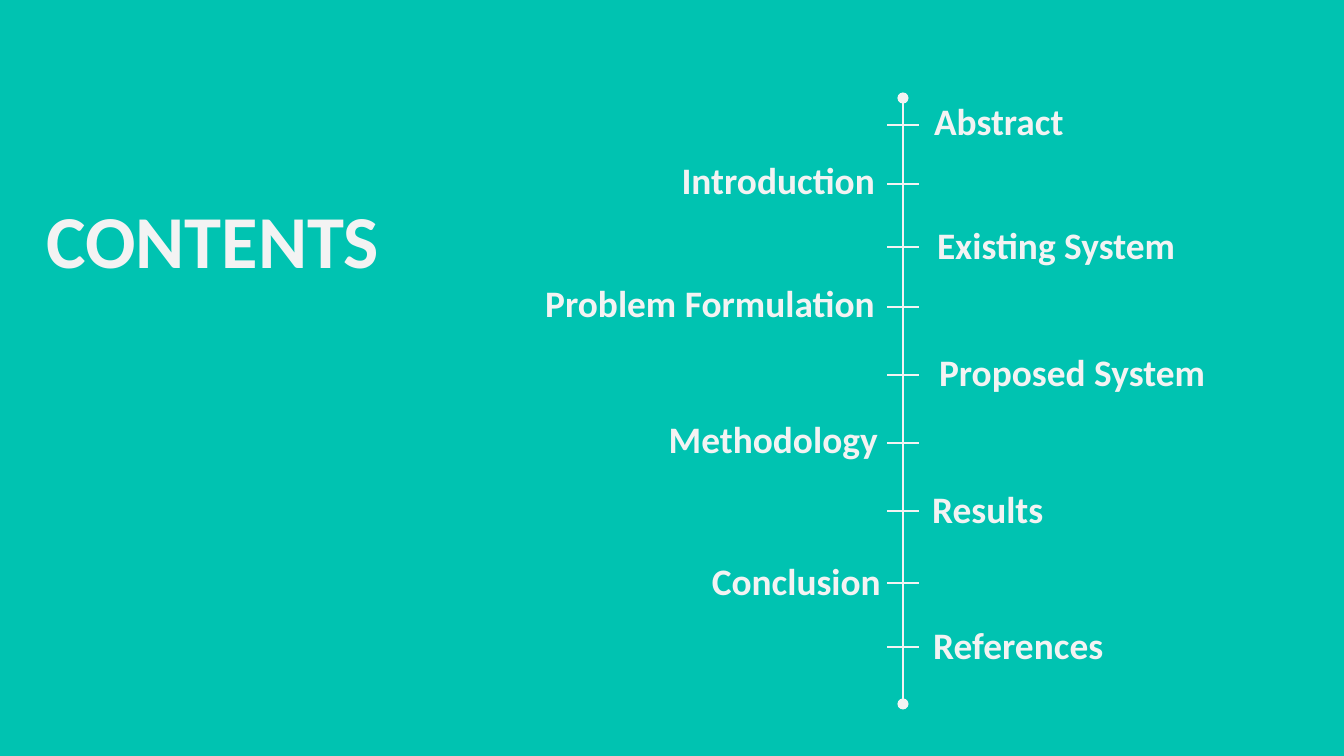
from lxml import etree
from pptx import Presentation
from pptx.dml.color import RGBColor
from pptx.enum import shapes, text
from pptx.oxml.ns import qn
from pptx.util import Emu, Pt

TEAL = RGBColor(0x00, 0xC3, 0xB1)
WHITE = RGBColor(0xF3, 0xF3, 0xF3)
FONT = "Calibri"
PX = 914400 / 134.4

TITLE = "CONTENTS"
# label, side of the axis, box edge facing the axis, text middle, tick height
ITEMS = [
    ("Abstract", "right", 921, 121, 125),
    ("Introduction", "left", 888, 180, 184),
    ("Existing System", "right", 924, 245, 247),
    ("Problem Formulation", "left", 888, 303, 307),
    ("Proposed System", "right", 926, 372, 375),
    ("Methodology", "left", 891, 439, 443),
    ("Results", "right", 919, 509, 511),
    ("Conclusion", "left", 894, 581, 583),
    ("References", "right", 920, 645, 647),
]
AXIS_X, AXIS_TOP, AXIS_BOTTOM = 903, 98, 704
TICK_HALF = 16
LABEL_WIDTH, LABEL_HEIGHT = 390, 90
INSET = 13


def px(value):
    return Emu(round(value * PX))


def add_line(page, x1, y1, x2, y2, dots=False):
    line = page.shapes.add_connector(
        shapes.MSO_CONNECTOR.STRAIGHT, px(x1), px(y1), px(x2), px(y2))
    line.line.color.rgb = WHITE
    line.line.width = Pt(1.5)
    if dots:
        outline = line.line._get_or_add_ln()
        for end in ("a:headEnd", "a:tailEnd"):
            etree.SubElement(outline, qn(end), type="oval")
    etree.SubElement(line._element.spPr, qn("a:effectLst"))


def write(box, words, size, align, anchor):
    frame = box.text_frame
    frame.word_wrap = True
    frame.auto_size = text.MSO_AUTO_SIZE.NONE
    frame.vertical_anchor = anchor
    frame.margin_left = frame.margin_right = px(INSET)
    frame.margin_top = frame.margin_bottom = px(INSET)
    para = frame.paragraphs[0]
    para.text = words
    para.alignment = align
    para.font.name = FONT
    para.font.size = Pt(size)
    para.font.bold = True
    para.font.color.rgb = WHITE


def main():
    deck = Presentation()
    deck.slide_width, deck.slide_height = px(1344), px(756)
    page = deck.slides.add_slide(deck.slide_layouts[5])
    page.background.fill.solid()
    page.background.fill.fore_color.rgb = TEAL

    title = page.shapes.title
    title.left, title.top = px(-19), px(181)
    title.width, title.height = px(411), px(254)
    write(title, TITLE, 40, text.PP_ALIGN.RIGHT, text.MSO_ANCHOR.TOP)

    add_line(page, AXIS_X, AXIS_TOP, AXIS_X, AXIS_BOTTOM, dots=True)
    for label, side, edge, middle, tick in ITEMS:
        add_line(page, AXIS_X - TICK_HALF, tick, AXIS_X + TICK_HALF, tick)
        on_left = side == "left"
        left = edge - LABEL_WIDTH if on_left else edge
        box = page.shapes.add_textbox(
            px(left), px(middle - LABEL_HEIGHT / 2),
            px(LABEL_WIDTH), px(LABEL_HEIGHT))
        align = text.PP_ALIGN.RIGHT if on_left else text.PP_ALIGN.LEFT
        write(box, label, 20, align, text.MSO_ANCHOR.MIDDLE)

    deck.save("out.pptx")


if __name__ == "__main__":
    main()
